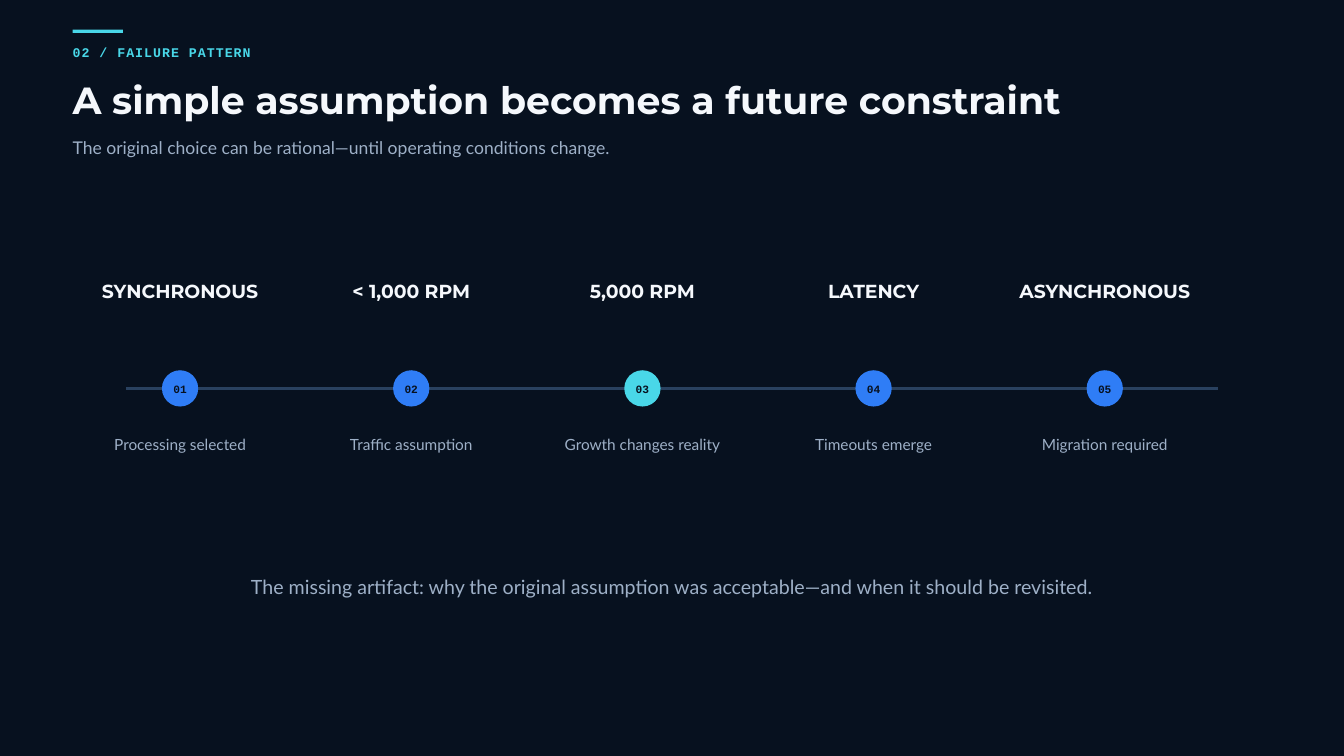
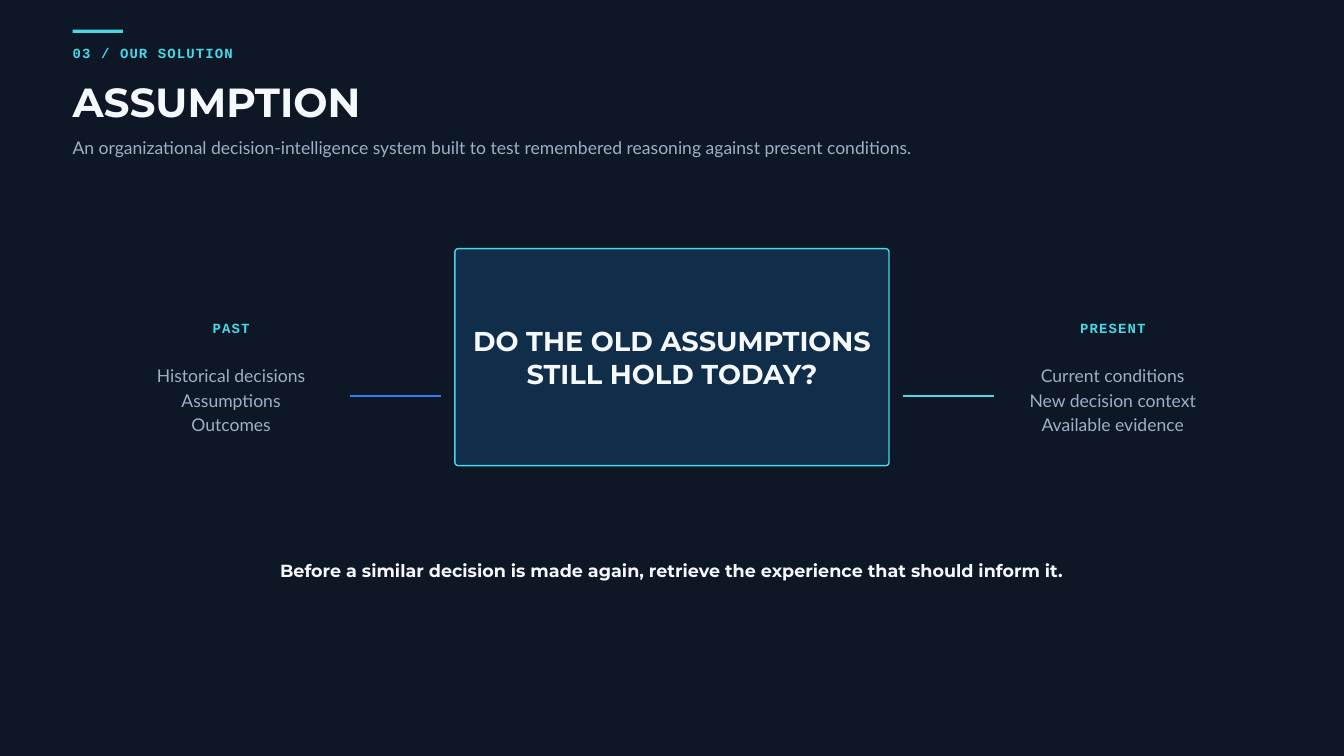
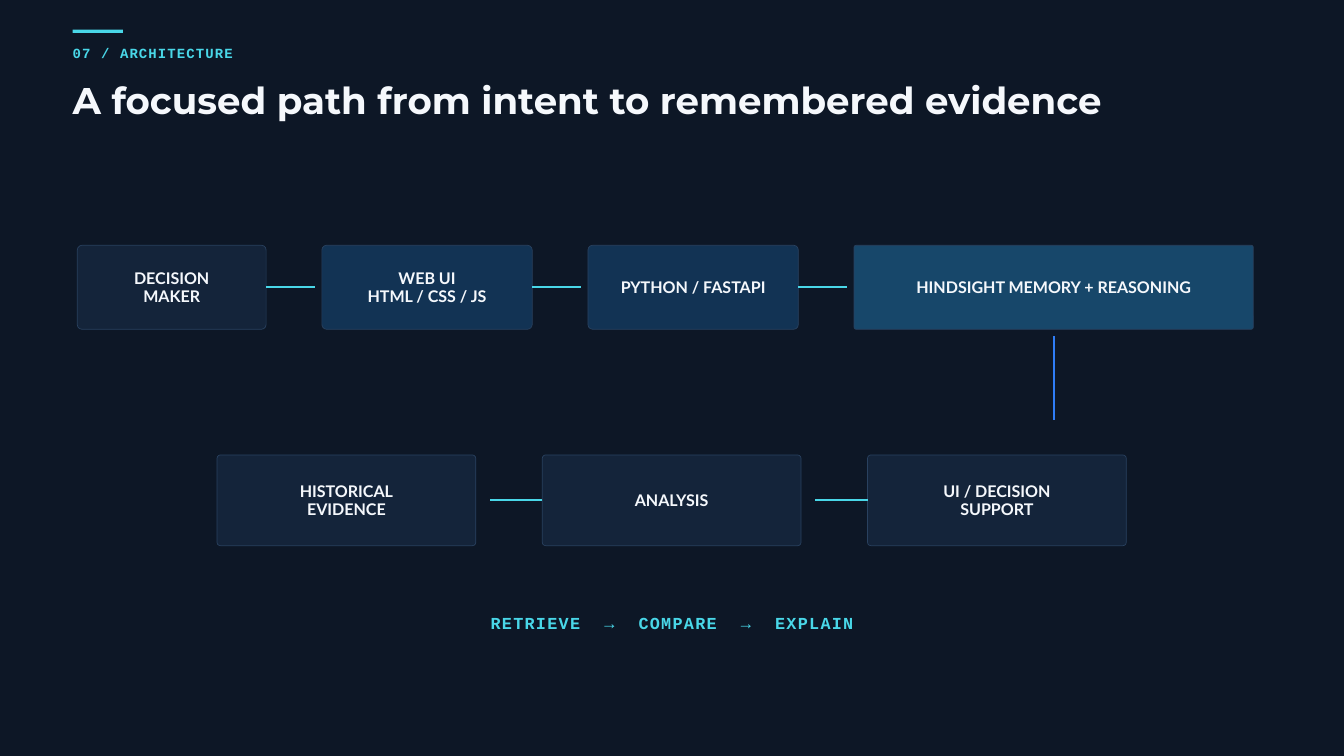
from dataclasses import dataclass, replace

from lxml import etree
from pptx import Presentation
from pptx.dml.color import RGBColor
from pptx.enum.shapes import MSO_CONNECTOR, MSO_SHAPE
from pptx.enum.text import MSO_ANCHOR, MSO_AUTO_SIZE, PP_ALIGN
from pptx.oxml.ns import qn
from pptx.util import Inches, Pt

LEFT, CENTER = PP_ALIGN.LEFT, PP_ALIGN.CENTER
TOP, MIDDLE = MSO_ANCHOR.TOP, MSO_ANCHOR.MIDDLE
NO_AUTOFIT = MSO_AUTO_SIZE.NONE
STRAIGHT = MSO_CONNECTOR.STRAIGHT
RECTANGLE, ROUNDED, OVAL = MSO_SHAPE.RECTANGLE, MSO_SHAPE.ROUNDED_RECTANGLE, MSO_SHAPE.OVAL

TITLE_ONLY, TWO_CONTENT = 5, 3
LEFT_SIDE, RIGHT_SIDE = 1, 3

COLORS = {
    "night": "07111F",
    "navy": "0D1726",
    "panel": "14243A",
    "question": "102D49",
    "app": "123354",
    "memory": "17476A",
    "rule": "29415F",
    "blue": "2F7DF6",
    "cyan": "49D7E8",
    "white": "F5F8FC",
    "muted": "9EB0C7",
}


@dataclass(frozen=True)
class Style:
    font: str
    size: float
    leading: float
    color: str
    bold: bool = True
    tracking: float = 0


EYEBROW = Style("Courier New", 15, 1.4, "cyan", tracking=1.2)
TITLE = Style("Montserrat", 40.5, 1.08, "white")
BODY = Style("Lato", 18.8, 1.4, "muted", bold=False)
CAPTION = replace(BODY, size=16.5, leading=1.35)
TAKEAWAY = replace(BODY, size=21)
MILESTONE = replace(TITLE, size=20.2, leading=1.15)
QUESTION = replace(TITLE, size=29.2, leading=1.2)
CLOSING = replace(TITLE, size=18.8, leading=1.15)
STEP = Style("Lato", 17.2, 1.15, "white")
NUMBER = Style("Courier New", 12, 1.4, "night")
MOTTO = replace(EYEBROW, size=18, tracking=1.4)


def rgb(name):
    return RGBColor.from_string(COLORS[name])


def track(properties, points):
    """Set letter spacing on run properties."""
    properties.set("spc", str(round(points * 100)))


def format_paragraph(paragraph, style, align):
    paragraph.alignment = align
    paragraph.line_spacing = Pt(round(style.size * style.leading, 1))
    paragraph.space_before = Pt(0)
    font = paragraph.font
    font.name, font.size, font.bold = style.font, Pt(style.size), style.bold
    font.color.rgb = rgb(style.color)
    if style.tracking:
        track(paragraph._p.get_or_add_pPr().get_or_add_defRPr(), style.tracking)


def write(shape, lines, style, align=CENTER, anchor=TOP, inset=0.0):
    frame = shape.text_frame
    frame.word_wrap = True
    frame.auto_size = NO_AUTOFIT
    frame.vertical_anchor = anchor
    frame.margin_left = frame.margin_right = Inches(inset)
    frame.margin_top = frame.margin_bottom = Inches(inset)
    frame.text = "\n".join(lines)
    for paragraph in frame.paragraphs:
        format_paragraph(paragraph, style, align)
    return frame


def place(shape, left, top, width, height):
    shape.left, shape.top = Inches(left), Inches(top)
    shape.width, shape.height = Inches(width), Inches(height)


def add_text(slide, text, at, style, align=CENTER):
    box = slide.shapes.add_textbox(*map(Inches, at))
    return write(box, [text], style, align)


def add_filled(slide, kind, at, fill):
    shape = slide.shapes.add_shape(kind, *map(Inches, at))
    shape.shadow.inherit = False
    shape.fill.solid()
    shape.fill.fore_color.rgb = rgb(fill)
    shape.line.fill.background()
    return shape


def add_card(slide, lines, at, fill, style=STEP, border="rule", weight=0.75, radius=0.05):
    card = add_filled(slide, ROUNDED, at, fill)
    card.adjustments[0] = radius / min(at[2:])
    card.line.color.rgb = rgb(border)
    card.line.width = Pt(weight)
    write(card, lines, style, anchor=MIDDLE, inset=0.06)
    return card


def add_line(slide, start, end, color, weight=2.25):
    line = slide.shapes.add_connector(STRAIGHT, *map(Inches, (*start, *end)))
    line.line.color.rgb = rgb(color)
    line.line.width = Pt(weight)
    etree.SubElement(line._element.spPr, qn("a:effectLst"))
    return line


def add_list(placeholder, lines, at):
    """Fill a body placeholder with centred lines that have no bullets."""
    place(placeholder, *at)
    placeholder.text_frame.text = "\n".join(lines)
    write(placeholder, lines, BODY)
    for paragraph in placeholder.text_frame.paragraphs:
        properties = paragraph._p.get_or_add_pPr()
        properties.set("marL", "0")
        properties.set("indent", "0")
        properties.find(qn("a:defRPr")).addprevious(
            etree.Element(qn("a:buNone")))


def start_slide(deck, layout, background, eyebrow, title, title_size,
                subtitle=None, eyebrow_style=EYEBROW):
    slide = deck.slides.add_slide(deck.slide_layouts[layout])
    slide.background.fill.solid()
    slide.background.fill.fore_color.rgb = rgb(background)
    add_filled(slide, RECTANGLE, (1.08, 0.44, 0.75, 0.05), "cyan")
    add_text(slide, eyebrow, (1.08, 0.62, 2.71, 0.27), eyebrow_style, LEFT)
    heading = slide.shapes.title
    place(heading, 1.08, 1.21, 15.62, 0.65)
    write(heading, [title], replace(TITLE, size=title_size), LEFT)
    if subtitle:
        add_text(slide, subtitle, (1.08, 1.99, 15.62, 0.34), BODY, LEFT)
    return slide


def build_failure_pattern(deck):
    slide = start_slide(
        deck, TITLE_ONLY, "night", "02 / FAILURE PATTERN",
        "A simple assumption becomes a future constraint", 40.5,
        "The original choice can be rational—until operating conditions change.",
        replace(EYEBROW, size=14.2, tracking=1.1))
    milestones = [
        ("SYNCHRONOUS", "Processing selected", "blue"),
        ("< 1,000 RPM", "Traffic assumption", "blue"),
        ("5,000 RPM", "Growth changes reality", "cyan"),
        ("LATENCY", "Timeouts emerge", "blue"),
        ("ASYNCHRONOUS", "Migration required", "blue"),
    ]
    axis, column, pitch, dot = 5.78, 2.86, 3.44, 0.54
    add_line(slide, (1.88, axis), (18.12, axis), "rule", 3)
    for index, (label, caption, color) in enumerate(milestones):
        left = 1.25 + index * pitch
        marker = add_filled(
            slide, OVAL, (left + (column - dot) / 2, axis - dot / 2, dot, dot), color)
        write(marker, [f"{index + 1:02}"], NUMBER, anchor=MIDDLE)
        add_text(slide, label, (left, 4.18, column, 0.33), MILESTONE)
        add_text(slide, caption, (left, 6.44, column, 0.29), CAPTION)
    add_text(
        slide,
        "The missing artifact: why the original assumption was acceptable"
        "—and when it should be revisited.",
        (3.12, 8.49, 13.75, 0.4), TAKEAWAY)


def build_solution(deck):
    slide = start_slide(
        deck, TWO_CONTENT, "navy", "03 / OUR SOLUTION", "ASSUMPTION", 43.5,
        "An organizational decision-intelligence system built to test "
        "remembered reasoning against present conditions.")
    add_card(slide, ["DO THE OLD ASSUMPTIONS", "STILL HOLD TODAY?"],
             (6.77, 3.7, 6.46, 3.23), "question", QUESTION, "cyan", 1.5)
    sides = [
        ("PAST", ["Historical decisions", "Assumptions", "Outcomes"],
         1.88, 5.21, "blue"),
        ("PRESENT", ["Current conditions", "New decision context", "Available evidence"],
         15, 13.44, "cyan"),
    ]
    for number, (label, items, left, link, color) in enumerate(sides, 1):
        add_line(slide, (link, 5.89), (link + 1.35, 5.89), color)
        add_text(slide, label, (left, 4.71, 3.12, 0.28), EYEBROW)
        add_list(slide.placeholders[number], items, (left, 5.38, 3.12, 1.08))
    add_text(
        slide,
        "Before a similar decision is made again, retrieve the experience "
        "that should inform it.",
        (3.96, 8.34, 12.08, 0.29), CLOSING)


def add_motto(slide, words, at):
    """Write words on one line, with a widened space between them."""
    frame = add_text(slide, "", at, MOTTO)
    paragraph = frame.paragraphs[0]
    for index, word in enumerate(words):
        if index:
            gap = paragraph.add_run()
            gap.text = " "
            track(gap._r.get_or_add_rPr(), 13.6)
        paragraph.add_run().text = word


def build_architecture(deck):
    slide = start_slide(
        deck, TITLE_ONLY, "navy", "07 / ARCHITECTURE",
        "A focused path from intent to remembered evidence", 39.8)

    request_path = [
        (["DECISION", "MAKER"], 2.81, "panel", 0.07),
        (["WEB UI", "HTML / CSS / JS"], 3.13, "app", 0.07),
        (["PYTHON / FASTAPI"], 3.13, "app", 0.07),
        (["HINDSIGHT MEMORY + REASONING"], 5.94, "memory", 0.03),
    ]
    left, top, height, gap = 1.15, 3.65, 1.25, 0.83
    middle = top + height / 2
    for index, (lines, width, fill, radius) in enumerate(request_path):
        card = add_card(slide, lines, (left, top, width, height), fill, radius=radius)
        right = left + width
        if index < len(request_path) - 1:
            link = add_line(slide, (right, middle), (right + 0.73, middle), "cyan")
            link.begin_connect(card, RIGHT_SIDE)
        left = right + gap

    add_line(slide, (15.68, 5), (15.68, 6.25), "blue")

    evidence_path = [["HISTORICAL", "EVIDENCE"], ["ANALYSIS"], ["UI / DECISION", "SUPPORT"]]
    top, width, height, pitch = 6.77, 3.85, 1.35, 4.84
    middle = top + height / 2
    for index, lines in enumerate(evidence_path):
        left = 3.23 + index * pitch
        card = add_card(slide, lines, (left, top, width, height), "panel")
        if index:
            link = add_line(slide, (left, middle), (left - 0.78, middle), "cyan")
            link.begin_connect(card, LEFT_SIDE)

    add_motto(slide, ["RETRIEVE", "→", "COMPARE", "→", "EXPLAIN"],
              (5.31, 9.07, 9.38, 0.34))


def main():
    deck = Presentation()
    deck.slide_width, deck.slide_height = Inches(20), Inches(11.25)
    build_failure_pattern(deck)
    build_solution(deck)
    build_architecture(deck)
    deck.save("out.pptx")


if __name__ == "__main__":
    main()
